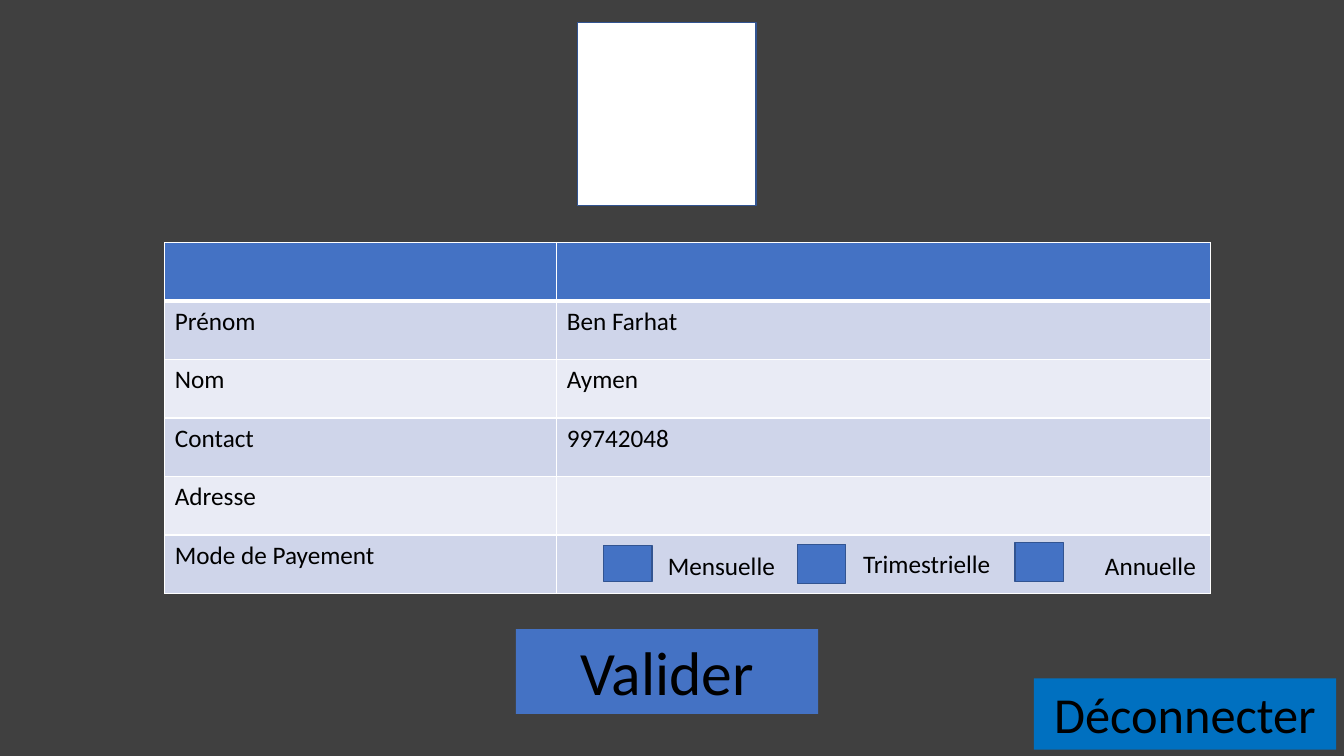
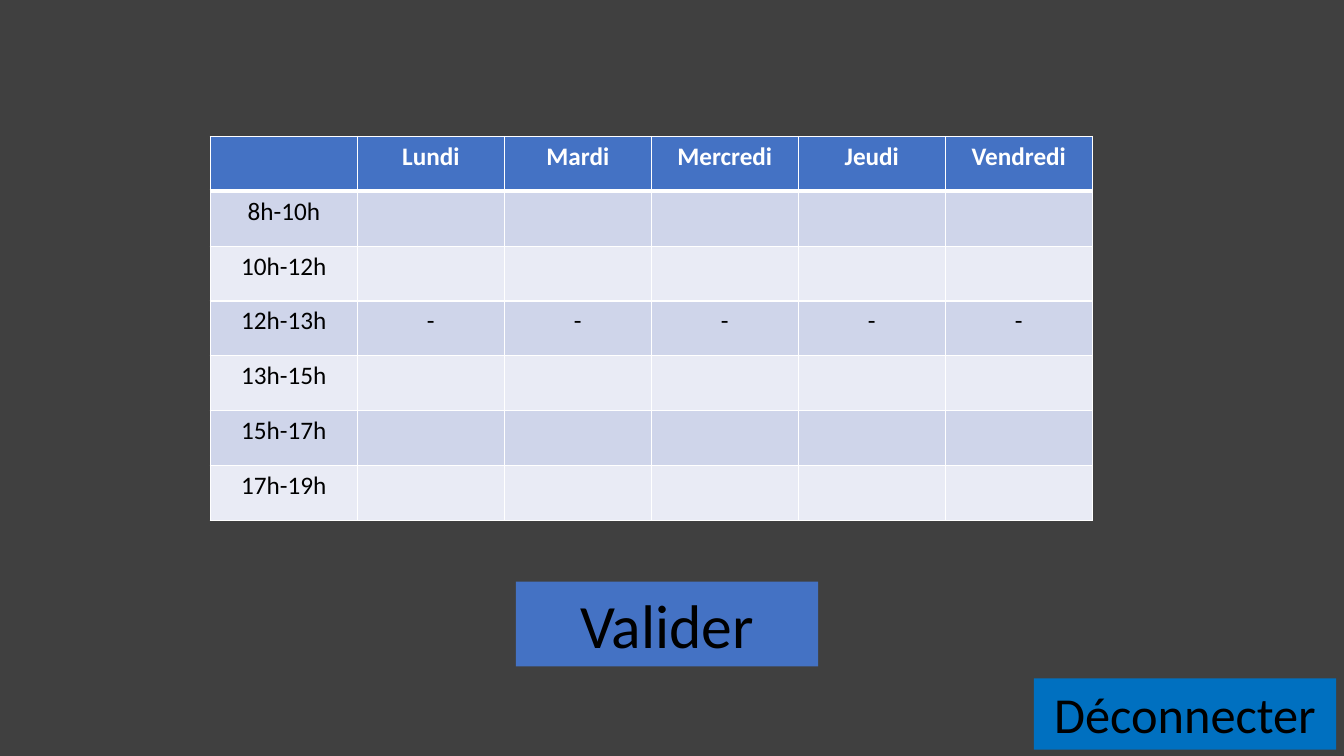
from dataclasses import dataclass
from typing import Any, Optional

import pptx
import pptx.dml.color
import pptx.enum.shapes
import pptx.enum.text
import pptx.oxml
import pptx.oxml.ns
import pptx.util

Pt = pptx.util.Pt
CENTER = pptx.enum.text.PP_ALIGN.CENTER
LEFT = pptx.enum.text.PP_ALIGN.LEFT

# Shared look
FONT = "Calibri"
BACKDROP, BLUE, LOGOUT_BLUE, OUTLINE = "404040", "4472C4", "0070C0", "325491"
BLACK, WHITE = "000000", "FFFFFF"
BANDS = ("CFD5EA", "E9EBF5")
SLIDE_WIDTH, SLIDE_HEIGHT = 960, 540
BODY_SIZE = 18


@dataclass(frozen=True)
class Box:
    left: float
    top: float
    width: float
    height: float
    fill: Optional[str] = None
    line: Optional[str] = None
    text: str = ""
    size: float = BODY_SIZE


@dataclass(frozen=True)
class Grid:
    left: float
    top: float
    column_widths: tuple[float, ...]
    row_height: float
    rows: list[list[str]]
    align: Any = LEFT


def color(hex_code: str) -> pptx.dml.color.RGBColor:
    return pptx.dml.color.RGBColor.from_string(hex_code)


def apply_format(target: Any, values: dict[str, Any]) -> None:
    for name, value in values.items():
        setattr(target, name, value)


def write_text(frame: Any, text: str, size: float, align: Any,
               ink: str = BLACK, bold: bool = False) -> None:
    paragraph = frame.paragraphs[0]
    paragraph.alignment = align
    # An empty cell still carries its font size
    font = paragraph.font
    if text:
        run = paragraph.add_run()
        run.text = text
        font = run.font
    apply_format(font, {"name": FONT, "size": Pt(size), "bold": bold})
    font.color.rgb = color(ink)


def draw_box(slide: Any, box: Box) -> None:
    place = [Pt(v) for v in (box.left, box.top, box.width, box.height)]
    if box.fill is None:
        shape = slide.shapes.add_textbox(*place)
    else:
        shape = slide.shapes.add_shape(pptx.enum.shapes.MSO_SHAPE.RECTANGLE, *place)
        shape.shadow.inherit = False
        shape.fill.solid()
        shape.fill.fore_color.rgb = color(box.fill)
        if box.line is None:
            shape.line.fill.background()
        else:
            shape.line.color.rgb = color(box.line)
            shape.line.width = Pt(1)
    if box.text:
        apply_format(shape.text_frame, {
            "word_wrap": True,
            "auto_size": pptx.enum.text.MSO_AUTO_SIZE.SHAPE_TO_FIT_TEXT,
            "vertical_anchor": pptx.enum.text.MSO_ANCHOR.TOP,
        })
        write_text(shape.text_frame, box.text, box.size, CENTER)


def set_borders(cell: Any, top: float, bottom: float) -> None:
    properties = cell._tc.get_or_add_tcPr()
    widths = {"lnL": 1, "lnR": 1, "lnT": top, "lnB": bottom}
    for position, (edge, width) in enumerate(widths.items()):
        properties.insert(position, pptx.oxml.parse_xml(
            f'<a:{edge} {pptx.oxml.ns.nsdecls("a")} w="{Pt(width)}">'
            f'<a:solidFill><a:srgbClr val="{WHITE}"/></a:solidFill></a:{edge}>'))


def draw_grid(slide: Any, grid: Grid) -> None:
    table = slide.shapes.add_table(
        len(grid.rows), len(grid.column_widths), Pt(grid.left), Pt(grid.top),
        Pt(sum(grid.column_widths)), Pt(grid.row_height * len(grid.rows))).table
    for column, width in zip(table.columns, grid.column_widths):
        column.width = Pt(width)
    for r, texts in enumerate(grid.rows):
        table.rows[r].height = Pt(grid.row_height)
        is_header = r == 0
        for c, text in enumerate(texts):
            cell = table.cell(r, c)
            cell.fill.solid()
            cell.fill.fore_color.rgb = color(BLUE if is_header else BANDS[(r - 1) % 2])
            # The rule under the header is thicker
            set_borders(cell, top=3 if r == 1 else 1, bottom=3 if is_header else 1)
            write_text(cell.text_frame, text, BODY_SIZE, grid.align,
                       WHITE if is_header else BLACK, is_header)


def add_page(deck: Any) -> Any:
    slide = deck.slides.add_slide(deck.slide_layouts[6])
    draw_box(slide, Box(0, 0, SLIDE_WIDTH, SLIDE_HEIGHT, BACKDROP))
    return slide


def draw_buttons(slide: Any, validate_top: float) -> None:
    draw_box(slide, Box(368.5, validate_top, 216, 60.5, BLUE, text="Valider", size=44))
    draw_box(slide, Box(738.5, 484.5, 216, 51, LOGOUT_BLUE, text="Déconnecter", size=36))


deck = pptx.Presentation()
apply_format(deck, {"slide_width": Pt(SLIDE_WIDTH), "slide_height": Pt(SLIDE_HEIGHT)})

# Slide 1: member details
profile = add_page(deck)
draw_box(profile, Box(412.5, 16, 127.5, 131, WHITE, OUTLINE))
draw_grid(profile, Grid(117.75, 173.25, (280, 467), 41.8, [
    ["", ""],
    ["Prénom", "Ben Farhat"],
    ["Nom", "Aymen"],
    ["Contact", "99742048"],
    ["Adresse", ""],
    ["Mode de Payement\u00a0", ""],
]))
draw_buttons(profile, validate_top=449.5)

# Payment choices: a checkbox and its label
payment_choices = [
    Box(431.25, 389.5, 34.5, 26, BLUE, OUTLINE),
    Box(569.5, 388.75, 34.5, 28, BLUE, OUTLINE),
    Box(725, 387.5, 34.5, 28, BLUE, OUTLINE),
    Box(467.25, 389.5, 96, 29, text="Mensuelle"),
    Box(605.5, 388, 113, 29, text="Trimestrielle"),
    Box(768.25, 389.5, 107, 29, text="Annuelle"),
]
for choice_part in payment_choices:
    draw_box(profile, choice_part)

# Slide 2: weekly timetable
timetable = add_page(deck)
draw_buttons(timetable, validate_top=415.5)
days = ["Lundi", "Mardi", "Mercredi", "Jeudi", "Vendredi"]
hours = ["8h-10h", "10h-12h", "12h-13h", "13h-15h", "15h-17h", "17h-19h"]
lunch = "12h-13h"
draw_grid(timetable, Grid(
    150.25, 97.5, (105,) * (len(days) + 1), 39.15,
    [["", *days]] + [[slot] + ["-" if slot == lunch else ""] * len(days) for slot in hours],
    CENTER))

deck.save("out.pptx")
